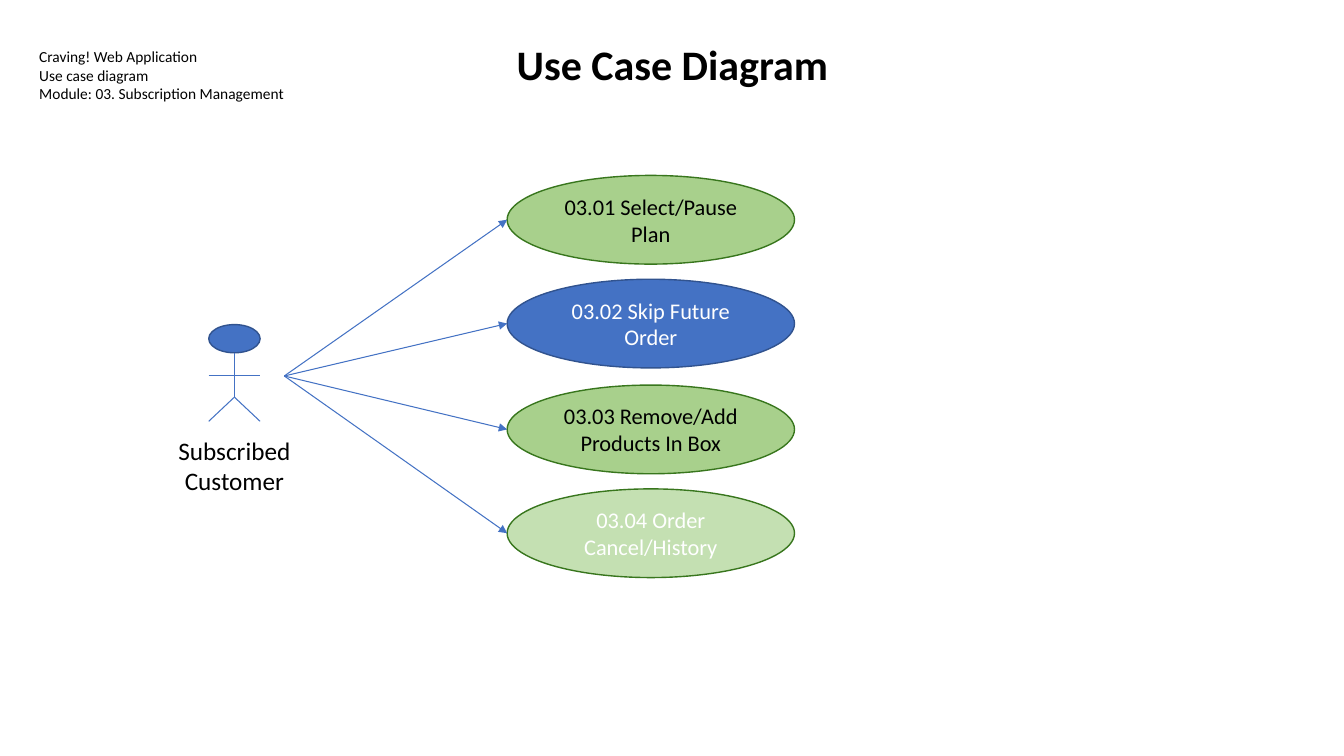
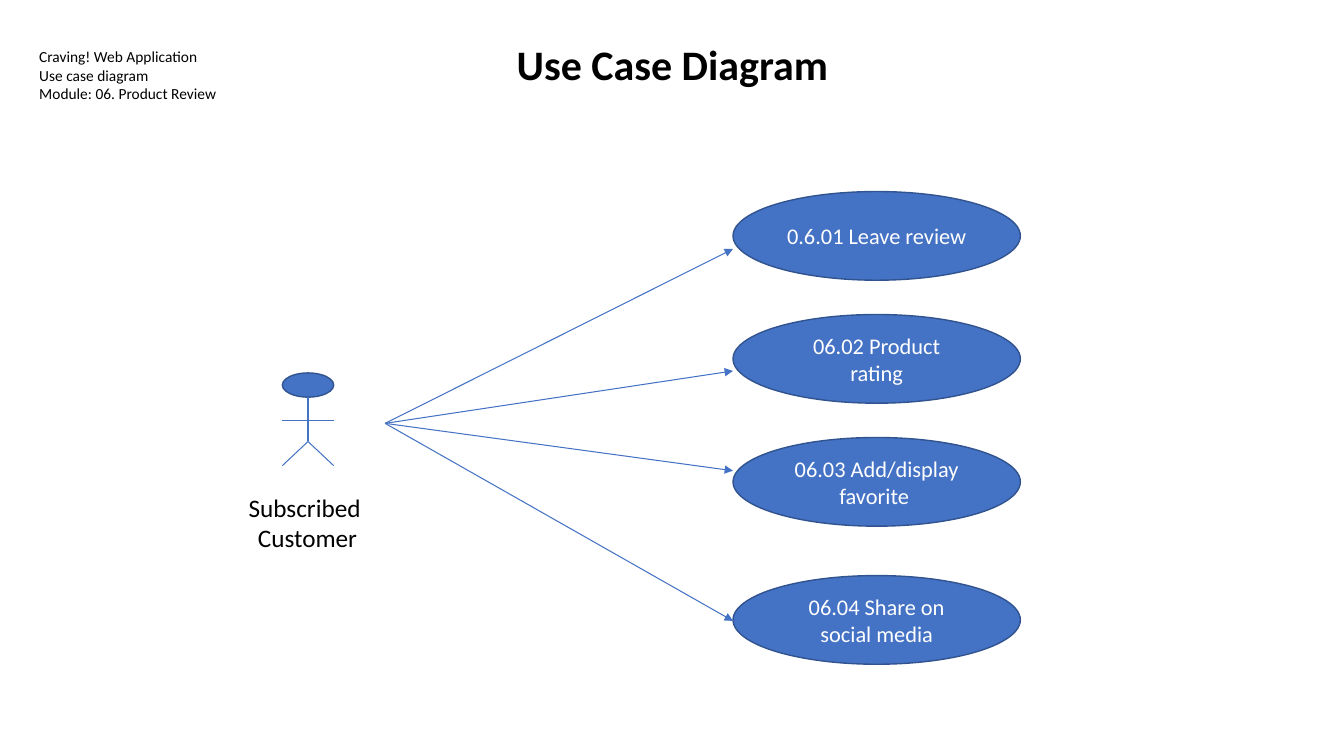
from dataclasses import dataclass

from lxml import etree
from pptx import Presentation
from pptx.dml.color import RGBColor
from pptx.enum import shapes, text
from pptx.oxml import ns
from pptx.util import Inches, Pt


@dataclass(frozen=True)
class Theme:
    font: str = "Calibri"
    ink: str = "000000"
    white: str = "FFFFFF"
    blue: str = "4472C4"
    blue_edge: str = "31538F"
    green: str = "A8D08C"
    pale_green: str = "C4E0B2"
    green_edge: str = "38761D"
    title_size: int = 30
    actor_size: int = 18
    case_size: int = 16
    module_size: int = 11
    edge_width: float = 1
    line_width: float = 0.75


THEME = Theme()
CASE_STYLES = {
    "blue": (THEME.blue, THEME.blue_edge, THEME.white),
    "green": (THEME.green, THEME.green_edge, THEME.ink),
    "pale": (THEME.pale_green, THEME.green_edge, THEME.white),
}
CASE_WIDTH, CASE_HEIGHT = 2.85, 0.88
ACTOR_WIDTH = 0.51
HIP_DROP, FOOT_DROP = 0.21, 0.45


@dataclass(frozen=True)
class Actor:
    left: float
    head_top: float
    head_height: float
    shoulder: float
    label_lines: tuple
    label_box: tuple


@dataclass(frozen=True)
class UseCase:
    label: str
    top: float
    style: str = "blue"
    arrow_shift: float = 0


@dataclass(frozen=True)
class Diagram:
    module: str
    actor: Actor
    arrow_start: tuple
    cases_left: float
    cases: tuple


DIAGRAMS = (
    Diagram(
        "Module: 03. Subscription Management",
        Actor(2.07, 3.22, 0.28, 3.73, ("Subscribed", "Customer"), (1.66, 4.27, 1.33, 0.71)),
        (2.82, 3.73),
        5.03,
        (
            UseCase("03.01 Select/Pause Plan", 1.74, "green"),
            UseCase("03.02 Skip Future Order", 2.77),
            UseCase("03.03 Remove/Add Products In Box", 3.82, "green"),
            UseCase("03.04 Order Cancel/History", 4.85, "pale"),
        ),
    ),
    Diagram(
        "Module: 06. Product Review",
        Actor(2.8, 3.7, 0.24, 4.17, ("Subscribed ", "Customer"), (2.25, 4.83, 1.6, 0.71)),
        (3.82, 4.2),
        7.27,
        (
            UseCase("0.6.01 Leave review", 1.9, arrow_shift=0.13),
            UseCase("06.02 Product rating", 3.12, arrow_shift=0.12),
            UseCase("06.03 Add/display favorite ", 4.34, arrow_shift=-0.11),
            UseCase("06.04 Share on social media", 5.71, arrow_shift=0.01),
        ),
    ),
)


def apply_format(target, values):
    for name, value in values.items():
        setattr(target, name, value)


def write_text(shape, lines, size, color=THEME.ink, align="LEFT", anchor="TOP", inset=0.05, bold=False):
    frame = shape.text_frame
    apply_format(frame, {
        "word_wrap": True,
        "vertical_anchor": getattr(text.MSO_ANCHOR, anchor),
        "margin_left": Inches(0.1),
        "margin_right": Inches(0.1),
        "margin_top": Inches(inset),
        "margin_bottom": Inches(inset),
    })
    for index, line in enumerate(lines):
        paragraph = frame.add_paragraph() if index else frame.paragraphs[0]
        paragraph.alignment = getattr(text.PP_ALIGN, align)
        run = paragraph.add_run()
        run.text = line
        apply_format(run.font, {"name": THEME.font, "size": Pt(size), "bold": bold})
        run.font.color.rgb = RGBColor.from_string(color)


def add_label(slide, box, lines, size, **text_format):
    label = slide.shapes.add_textbox(*map(Inches, box))
    write_text(label, lines, size, **text_format)


def add_ellipse(slide, box, fill, edge):
    ellipse = slide.shapes.add_shape(shapes.MSO_SHAPE.OVAL, *map(Inches, box))
    ellipse.shadow.inherit = False
    ellipse.fill.solid()
    ellipse.fill.fore_color.rgb = RGBColor.from_string(fill)
    ellipse.line.color.rgb = RGBColor.from_string(edge)
    ellipse.line.width = Pt(THEME.edge_width)
    return ellipse


def add_line(slide, start, end, arrow=False):
    connector = slide.shapes.add_connector(
        shapes.MSO_CONNECTOR.STRAIGHT, *map(Inches, (*start, *end)))
    connector.line.color.rgb = RGBColor.from_string(THEME.blue)
    connector.line.width = Pt(THEME.line_width)
    if arrow:
        outline = connector.line._get_or_add_ln()
        etree.SubElement(outline, ns.qn("a:tailEnd"), type="triangle")
    etree.SubElement(connector._element.spPr, ns.qn("a:effectLst"))


def add_actor(slide, actor):
    right = actor.left + ACTOR_WIDTH
    center = actor.left + ACTOR_WIDTH / 2
    neck = actor.head_top + actor.head_height
    hip = (center, actor.shoulder + HIP_DROP)
    foot = actor.shoulder + FOOT_DROP
    add_ellipse(slide, (actor.left, actor.head_top, ACTOR_WIDTH, actor.head_height),
                THEME.blue, THEME.blue_edge)
    add_line(slide, (center, neck), hip)
    add_line(slide, (actor.left, actor.shoulder), (right, actor.shoulder))
    for foot_x in (actor.left, right):
        add_line(slide, hip, (foot_x, foot))
    add_label(slide, actor.label_box, actor.label_lines, THEME.actor_size, align="CENTER")


def add_use_case(slide, case, left, arrow_start):
    fill, edge, ink = CASE_STYLES[case.style]
    ellipse = add_ellipse(slide, (left, case.top, CASE_WIDTH, CASE_HEIGHT), fill, edge)
    write_text(ellipse, (case.label,), THEME.case_size, ink, "CENTER", "MIDDLE")
    arrow_end = (left, case.top + CASE_HEIGHT / 2 + case.arrow_shift)
    add_line(slide, arrow_start, arrow_end, arrow=True)


def add_heading(slide, module):
    add_label(slide, (4.85, 0.28, 3.64, 0.71), ("Use Case Diagram",), THEME.title_size,
              align="CENTER", inset=0.1, bold=True)
    add_label(slide, (0.29, 0.37, 2.78, 0.95),
              ("Craving! Web Application", "Use case diagram", module),
              THEME.module_size, inset=0.1)


def add_diagram(presentation, diagram):
    slide = presentation.slides.add_slide(presentation.slide_layouts[6])
    add_heading(slide, diagram.module)
    add_actor(slide, diagram.actor)
    for case in diagram.cases:
        add_use_case(slide, case, diagram.cases_left, diagram.arrow_start)


def main():
    presentation = Presentation()
    apply_format(presentation, {"slide_width": Inches(13.33), "slide_height": Inches(7.5)})
    for diagram in DIAGRAMS:
        add_diagram(presentation, diagram)
    presentation.save("out.pptx")


main()
